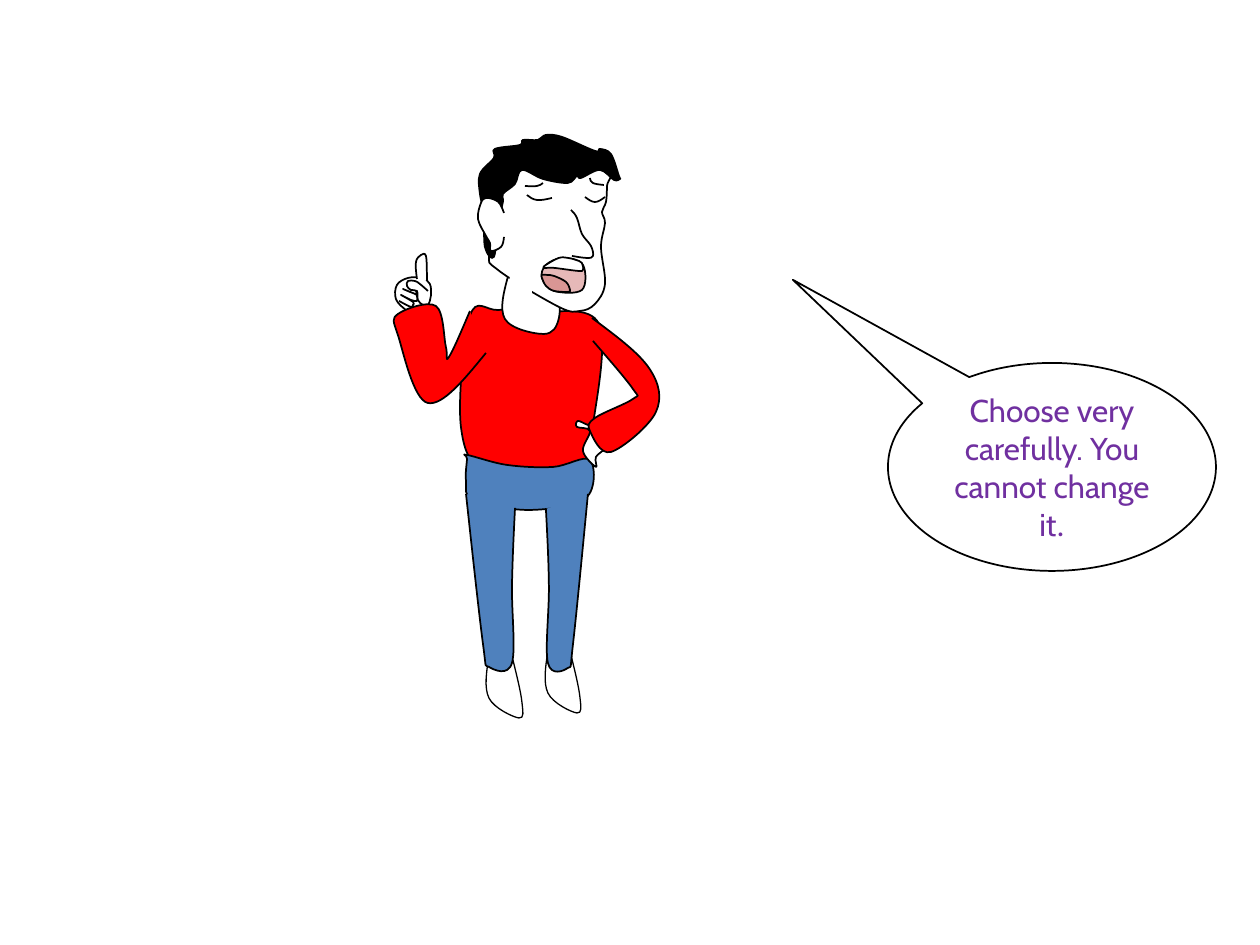
from pptx import Presentation
from pptx.dml.color import RGBColor
from pptx.enum.shapes import MSO_SHAPE as SHAPE
from pptx.enum.text import MSO_ANCHOR as ANCHOR, PP_ALIGN as ALIGN
from pptx.oxml.ns import qn
from pptx.util import Pt

PX = 914400 // 126
BLACK, WHITE, RED, BLUE = "000000", "FFFFFF", "FF0000", "4F81BD"
PURPLE, PINK, ROSE = "7030A0", "E6B9B8", "D99694"


def rgb(value):
    """Turn a hex string into a colour."""
    return RGBColor.from_string(value)


def handle(knot, start, end):
    """Return the control point a sixth of start-to-end away from a knot."""
    return tuple(k + (e - s) / 6 for k, s, e in zip(knot, start, end))


def middle(a, b):
    """Return the point halfway between two points."""
    return tuple((p + q) / 2 for p, q in zip(a, b))


def smooth(knots, closed):
    """Return two control points and an end point for each curve piece."""
    n = len(knots)
    last = n if closed else n - 1
    points = []
    for i in range(last):
        before, a, b, after = (knots[(i + k) % n] for k in (-1, 0, 1, 2))
        out, into = handle(a, before, b), handle(b, after, a)
        if not closed and i == 0:
            out = middle(a, into)
        if not closed and i == last - 1:
            into = middle(b, out)
        points += [out, into, b]
    return points


def bend(sp):
    """Turn every three line segments of a freeform into one cubic curve."""
    lines = sp._element.findall(".//" + qn("a:lnTo"))
    for first, *others in zip(lines[::3], lines[1::3], lines[2::3]):
        first.tag = qn("a:cubicBezTo")
        for line in others:
            first.append(line[0])
            line.getparent().remove(line)


class Board:
    """Holds the slide and the style of its shapes."""

    def __init__(self, prs):
        """Add a blank slide."""
        self.s = prs.slides.add_slide(prs.slide_layouts[6])
        self.shapes = self.s.shapes

    def style(self, sp, fill, width):
        """Set fill and line; None leaves either out."""
        sp.shadow.inherit = False
        if fill:
            sp.fill.solid()
            sp.fill.fore_color.rgb = rgb(fill)
        else:
            sp.fill.background()
        if width:
            sp.line.color.rgb = rgb(BLACK)
            sp.line.width = Pt(width)
        else:
            sp.line.fill.background()

    def curve(self, outline, fill=None, closed=False, width=1, parent=None):
        """Draw a smooth outline through knots written as 'x,y x,y'."""
        knots = [tuple(map(int, knot.split(","))) for knot in outline.split()]
        x, y = knots[0]
        builder = (parent or self.s).shapes.build_freeform(x * PX, y * PX)
        builder.add_line_segments(
            [(round(x * PX), round(y * PX)) for x, y in smooth(knots, closed)], close=closed)
        sp = builder.convert_to_shape()
        bend(sp)
        self.style(sp, fill, width)

    def preset(self, kind, box, fill, width=None):
        """Add a preset shape at left, top, width, height."""
        sp = self.shapes.add_shape(kind, *(v * PX for v in box))
        self.style(sp, fill, width)
        return sp

    def speech(self, box, tip, runs):
        """Add an ellipse callout with its tip offset and (text, font) runs."""
        sp = self.preset(SHAPE.OVAL_CALLOUT, box, WHITE, 1)
        sp.adjustments[0], sp.adjustments[1] = tip
        tf = sp.text_frame
        tf.word_wrap = True
        tf.vertical_anchor = ANCHOR.MIDDLE
        p = tf.paragraphs[0]
        p.alignment = ALIGN.CENTER
        p.font.size = Pt(18)
        p.font.color.rgb = rgb(PURPLE)
        for text, font in runs:
            r = p.add_run()
            r.text = text
            r.font.name = font


SHOES = [
    "571,655 580,697 577,713 548,693 548,651",
    "513,660 522,702 519,718 489,698 489,656",
]
TORSO = "470,316 498,310 541,311 599,324 593,425 578,474 490,474 461,427"
NECK = "509,273 505,319 544,334 559,318 557,277"
HAND = "428,306 431,296 430,284 422,278 408,278 397,285 396,299 406,310"
FINGER = "417,279 416,262 421,255 426,256 427,277 427,281"
CREASES = ("415,289 416,294 403,289 415,294 417,296 417,301 411,300 401,295 413,302 "
           "413,305 411,307 399,301")
THUMB = "428,291 420,284 415,281 408,281 407,286 411,290 417,291 418,300 423,305"
FACE = ("607,165 607,186 606,202 602,212 605,223 601,247 605,284 595,304 580,311 "
        "559,307 498,270 489,251 496,179 533,154")
NOSE = "571,210 577,218 582,234 591,246 593,256 587,258 572,256"
EYES = ["527,195 537,200 552,198", "585,197 595,202 605,197"]
HAIR = ("619,176 611,154 600,149 595,151 562,137 546,135 538,140 523,140 520,145 "
        "495,149 494,158 480,174 480,194 484,214 485,247 494,257 498,224 503,202 503,194 "
        "515,184 522,170 543,179 568,183 577,176 581,178 600,170 614,180 620,179")
EAR = ("504,213 500,204 495,200 486,198 481,203 478,219 486,236 490,243 491,251 "
       "501,247 504,237")
BROWS = ["525,186 537,186 543,183", "590,178 593,183 604,185"]
MOUTH = "542,278 546,265 563,258 583,265 582,290 554,291"
TEETH = "559,258 568,258 576,260 582,263 583,270 578,271 554,268 544,268 546,265"
TONGUE = "542,275 547,275 554,276 566,282 570,290 568,292 554,291 546,286 542,278"
RAISED_ARM = "470,311 449,357 446,347 436,306 398,314 398,335 428,403 486,353"
HIPS = "467,455 507,465 553,467 590,460 586,498 530,510 473,500 466,481 467,459"
LEGS = [
    "466,494 483,644 489,667 512,663 512,585 515,508",
    "588,494 573,645 568,668 548,663 549,586 546,509",
]
HIP_HAND = "588,425 578,421 577,427 590,431 583,451 596,467 596,457 606,446 600,428"
BENT_ARM = "592,318 649,368 656,412 611,452 590,431 595,418 633,399 633,389 593,341"

# Outline, fill, closed; from back to front
FIGURE = [
    (TORSO, RED, True), (NECK, WHITE, False),
    (HAND, WHITE, False), (FINGER, WHITE, False), (CREASES, None, False), (THUMB, WHITE, False),
    (FACE, WHITE, True), (NOSE, None, False), *((eye, None, False) for eye in EYES),
    (HAIR, BLACK, True), (EAR, WHITE, False), *((brow, None, False) for brow in BROWS),
    (MOUTH, PINK, True), (TEETH, WHITE, True), (TONGUE, ROSE, True),
    (RAISED_ARM, RED, False), (HIPS, BLUE, True), *((leg, BLUE, False) for leg in LEGS),
    (HIP_HAND, WHITE, True), (BENT_ARM, RED, False),
]

prs = Presentation()
prs.slide_width, prs.slide_height = 1260 * PX, 945 * PX
board = Board(prs)
for shoe in SHOES:
    board.curve(shoe, WHITE, width=0.75)
man = board.shapes.add_group_shape()
for outline, fill, closed in FIGURE:
    board.curve(outline, fill, closed, parent=man)
board.speech((888, 363, 328, 208), (-0.79, -0.9),
             [("Choose very carefully. You cannot change it", "Cabin"), (".", "Calibri")])
board.preset(SHAPE.OVAL, (508, 265, 24, 54), WHITE)
prs.save("out.pptx")
